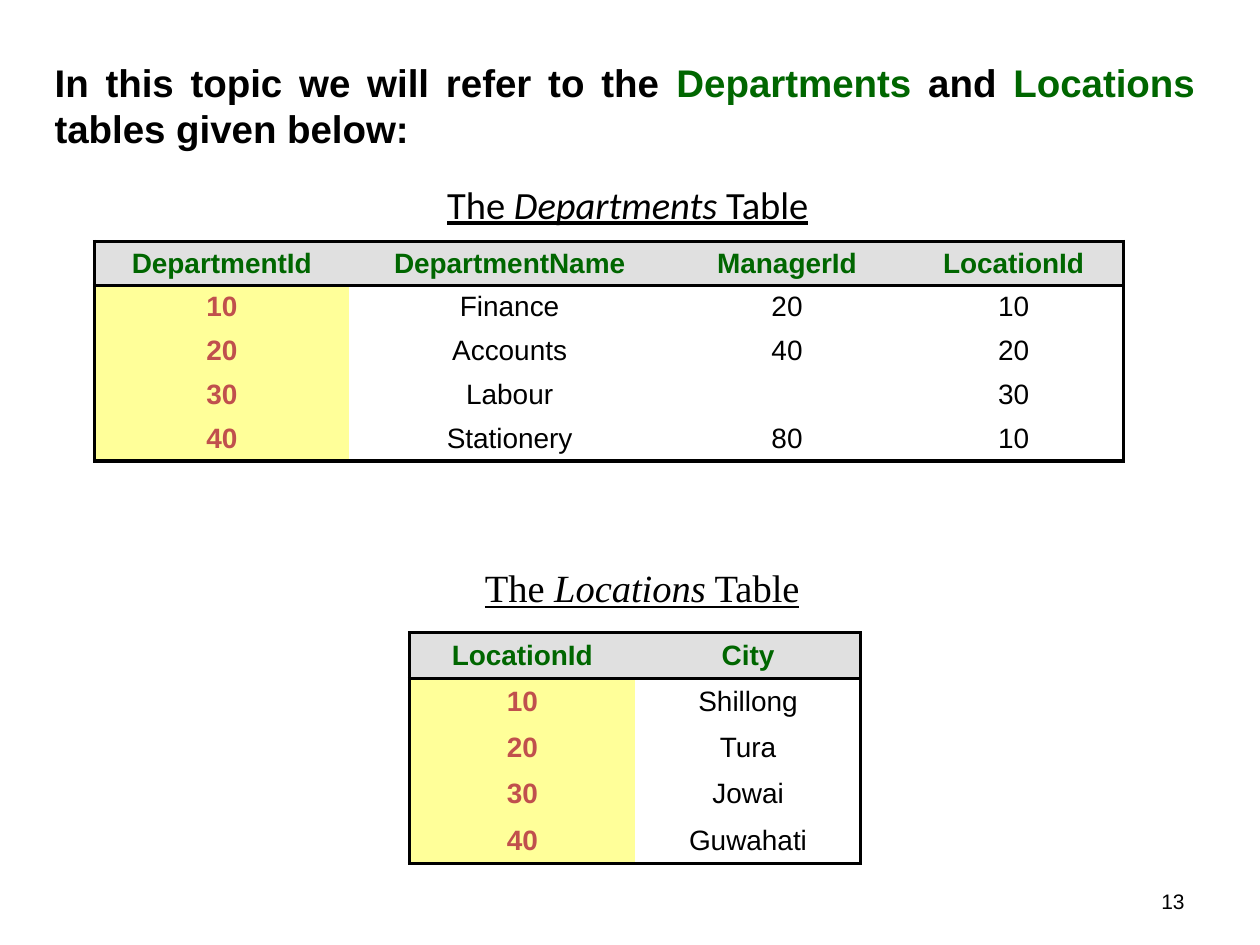
from lxml import etree
from pptx import Presentation
from pptx.dml.color import RGBColor
from pptx.enum.text import MSO_ANCHOR, MSO_AUTO_SIZE, PP_ALIGN
from pptx.oxml.ns import qn
from pptx.util import Pt

TOP, MIDDLE = MSO_ANCHOR.TOP, MSO_ANCHOR.MIDDLE
LEFT, CENTER, RIGHT = PP_ALIGN.LEFT, PP_ALIGN.CENTER, PP_ALIGN.RIGHT
JUSTIFY = PP_ALIGN.JUSTIFY
NO_AUTOFIT = MSO_AUTO_SIZE.NONE

BLACK = RGBColor(0x00, 0x00, 0x00)
GREEN = RGBColor(0x00, 0x66, 0x00)
RED = RGBColor(0xC0, 0x50, 0x4D)
GREY = RGBColor(0xE0, 0xE0, 0xE0)
YELLOW = RGBColor(0xFF, 0xFF, 0x99)


class SlideBuilder:
    """Holds the style and the current slide."""

    font = "Arial"
    heading_size = 22
    table_size = 16
    number_size = 12
    border_width = 2
    cell_margin = 2

    def __init__(self, slide):
        self.slide = slide

    def style(self, paragraph, size, align, color=BLACK, bold=False, font=None):
        paragraph.alignment = align
        paragraph.font.name = font or self.font
        paragraph.font.size = Pt(size)
        paragraph.font.bold = bold
        if color is not None:
            paragraph.font.color.rgb = color

    def title(self, box, parts):
        title = self.slide.shapes.title
        title.left, title.top, title.width, title.height = map(Pt, box)
        frame = title.text_frame
        frame.word_wrap = True
        frame.auto_size = NO_AUTOFIT
        frame.vertical_anchor = TOP
        paragraph = frame.paragraphs[0]
        self.style(paragraph, self.heading_size, JUSTIFY, None, bold=True)
        for text, color in parts:
            run = paragraph.add_run()
            run.text = text
            run.font.color.rgb = color

    def text_box(self, box, wrap):
        frame = self.slide.shapes.add_textbox(*map(Pt, box)).text_frame
        frame.word_wrap = wrap
        frame.vertical_anchor = MIDDLE
        return frame.paragraphs[0]

    def caption(self, box, table_name, font, align):
        paragraph = self.text_box(box, wrap=False)
        self.style(paragraph, self.heading_size, align, font=font)
        paragraph.font.underline = True
        for text, italic in (("The ", False), (table_name, True), (" Table", False)):
            run = paragraph.add_run()
            run.text = text
            run.font.italic = italic

    def page_number(self, box, number):
        paragraph = self.text_box(box, wrap=True)
        paragraph.text = number
        self.style(paragraph, self.number_size, RIGHT)

    def borders(self, cell, visible):
        """Draw the visible sides (letters of LRTB) and clear the others."""
        properties = cell._tc.get_or_add_tcPr()
        for side in "LRTB":
            line = etree.SubElement(properties, qn(f"a:ln{side}"))
            if side in visible:
                line.set("w", str(Pt(self.border_width)))
                fill = etree.SubElement(line, qn("a:solidFill"))
                etree.SubElement(fill, qn("a:srgbClr"), val=str(BLACK))
            else:
                line.set("w", "0")
                etree.SubElement(line, qn("a:noFill"))

    def table(self, left, top, column_widths, row_height, rows):
        last_row, last_column = len(rows) - 1, len(column_widths) - 1
        table = self.slide.shapes.add_table(
            len(rows), len(column_widths), Pt(left), Pt(top),
            Pt(sum(column_widths)), Pt(row_height * len(rows))).table
        table.horz_banding = False
        table.first_row = False
        for column, width in zip(table.columns, column_widths):
            column.width = Pt(width)
        for r, values in enumerate(rows):
            table.rows[r].height = Pt(row_height)
            for c, value in enumerate(values):
                cell = table.cell(r, c)
                # Outer frame and the rule under the header
                sides = {"L": c == 0, "R": c == last_column,
                         "T": r <= 1, "B": r in (0, last_row)}
                self.borders(cell, [side for side, shown in sides.items() if shown])
                # Header row, key column, other cells
                if r == 0:
                    fill, color = GREY, GREEN
                elif c == 0:
                    fill, color = YELLOW, RED
                else:
                    fill, color = None, BLACK
                if fill is None:
                    cell.fill.background()
                else:
                    cell.fill.solid()
                    cell.fill.fore_color.rgb = fill
                cell.vertical_anchor = MIDDLE
                cell.margin_top = cell.margin_bottom = Pt(self.cell_margin)
                paragraph = cell.text_frame.paragraphs[0]
                if value:
                    paragraph.text = value
                self.style(paragraph, self.table_size, CENTER, color, fill is not None)


def main():
    presentation = Presentation()
    presentation.slide_width, presentation.slide_height = Pt(720), Pt(540)
    title_only = presentation.slide_layouts[5]
    builder = SlideBuilder(presentation.slides.add_slide(title_only))

    # Introduction
    builder.title((24, 30, 666, 60), [
        ("In this topic we will refer to the ", BLACK),
        ("Departments", GREEN),
        (" and ", BLACK),
        ("Locations", GREEN),
        (" tables given below:", BLACK),
    ])

    # Departments
    builder.caption((229.5, 99.5, 258.5, 34), "Departments", "Calibri", CENTER)
    builder.table(54, 138, (145.5, 183.5, 133.5, 125.5), 25.1, [
        ("DepartmentId", "DepartmentName", "ManagerId", "LocationId"),
        ("10", "Finance", "20", "10"),
        ("20", "Accounts", "40", "20"),
        ("30", "Labour", "", "30"),
        ("40", "Stationery", "80", "10"),
    ])

    # Locations
    builder.caption((270, 318.5, 205, 34), "Locations", "Times New Roman", LEFT)
    builder.table(234, 361.5, (129, 129), 26.4, [
        ("LocationId", "City"),
        ("10", "Shillong"),
        ("20", "Tura"),
        ("30", "Jowai"),
        ("40", "Guwahati"),
    ])

    # Page number
    builder.page_number((516, 500.5, 168, 28.5), "13")

    presentation.save("out.pptx")


if __name__ == "__main__":
    main()
